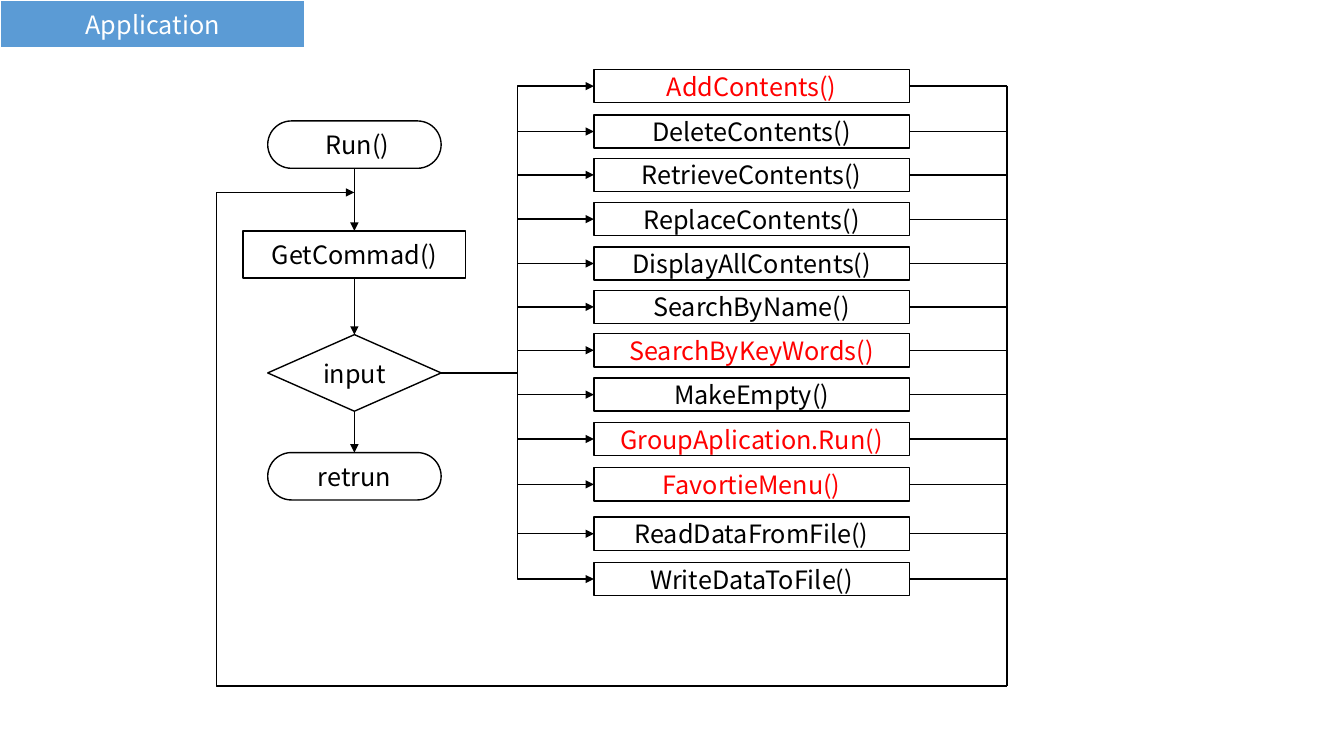
from dataclasses import dataclass

from lxml.etree import SubElement
from pptx import Presentation
from pptx.dml.color import RGBColor
from pptx.enum.shapes import MSO_CONNECTOR, MSO_SHAPE
from pptx.enum.text import MSO_ANCHOR, MSO_AUTO_SIZE, PP_ALIGN
from pptx.oxml.ns import qn
from pptx.util import Inches, Pt


@dataclass(frozen=True)
class Theme:
    """Colours, type and line widths of the slide."""

    accent: RGBColor = RGBColor(0x5B, 0x9B, 0xD5)
    paper: RGBColor = RGBColor(0xFF, 0xFF, 0xFF)
    ink: RGBColor = RGBColor(0, 0, 0)
    marked: RGBColor = RGBColor(0xFF, 0, 0)
    font: str = "Noto Sans CJK KR"
    size: float = 18
    thin: float = 1
    thick: float = 1.5


@dataclass(frozen=True)
class Box:
    """A rectangle in inches."""

    left: float
    top: float
    width: float
    height: float

    @property
    def right(self):
        """Return the right edge."""
        return self.left + self.width

    @property
    def bottom(self):
        """Return the bottom edge."""
        return self.top + self.height

    @property
    def center(self):
        """Return the horizontal middle."""
        return self.left + self.width / 2

    @property
    def middle(self):
        """Return the vertical middle."""
        return self.top + self.height / 2


THEME = Theme()

COMMANDS = [
    ("AddContents()", 0, True),
    ("DeleteContents()", 0.45, False),
    ("RetrieveContents()", 0.88, False),
    ("ReplaceContents()", 1.32, False),
    ("DisplayAllContents()", 1.76, False),
    ("SearchByName()", 2.19, False),
    ("SearchByKeyWords()", 2.62, True),
    ("MakeEmpty()", 3.06, False),
    ("GroupAplication.Run()", 3.5, True),
    ("FavortieMenu()", 3.95, True),
    ("ReadDataFromFile()", 4.44, False),
    ("WriteDataToFile()", 4.89, False),
]


def style_shape(shape, fill, outline, width):
    """Set the fill and outline of a shape."""
    shape.fill.solid()
    shape.fill.fore_color.rgb = fill
    shape.line.color.rgb = outline
    shape.line.width = Pt(width)


def write_label(shape, text, color):
    """Write one centred line into a shape."""
    frame = shape.text_frame
    frame.word_wrap = True
    frame.auto_size = MSO_AUTO_SIZE.NONE
    frame.vertical_anchor = MSO_ANCHOR.MIDDLE
    frame.margin_top = frame.margin_bottom = 0
    para = frame.paragraphs[0]
    para.alignment = PP_ALIGN.CENTER
    para.line_spacing = 1.0
    span = para.add_run()
    span.text = text
    span.font.name = THEME.font
    span.font.size = Pt(THEME.size)
    span.font.color.rgb = color


def add_node(page, kind, box, text, color=THEME.ink):
    """Add one flowchart node."""
    lengths = map(Inches, (box.left, box.top, box.width, box.height))
    node = page.shapes.add_shape(kind, *lengths)
    node.shadow.inherit = False
    if kind == MSO_SHAPE.ROUNDED_RECTANGLE:
        node.adjustments[0] = 0.5
    style_shape(node, THEME.paper, THEME.ink, THEME.thin)
    write_label(node, text, color)


def add_link(page, start, end, kind=MSO_CONNECTOR.STRAIGHT, arrow=False, width=THEME.thin, bend=None):
    """Join two points, with an optional arrowhead and bend position."""
    link = page.shapes.add_connector(kind, *map(Inches, (*start, *end)))
    link.line.color.rgb = THEME.ink
    link.line.width = Pt(width)
    properties = link._element.spPr
    SubElement(properties, qn("a:effectLst"))
    if arrow:
        SubElement(properties.find(qn("a:ln")), qn("a:tailEnd"), type="triangle")
    if bend is not None:
        guides = properties.find(qn("a:prstGeom")).find(qn("a:avLst"))
        SubElement(guides, qn("a:gd"), name="adj1", fmla=f"val {round(bend * 100000)}")


def add_title(page, box):
    """Place the title as a coloured banner."""
    title = page.shapes.title
    title.left, title.top = Inches(box.left), Inches(box.top)
    title.width, title.height = Inches(box.width), Inches(box.height)
    style_shape(title, THEME.accent, THEME.paper, THEME.thick)
    write_label(title, "Application", THEME.paper)


def add_main_flow(page, box):
    """Draw the main column and return the exit point of the decision."""
    steps = [
        (MSO_SHAPE.ROUNDED_RECTANGLE, " Run()", 0, 1.72, 0.47),
        (MSO_SHAPE.RECTANGLE, "GetCommad()", 1.09, 2.21, 0.47),
        (MSO_SHAPE.DIAMOND, "input", 2.12, 1.72, 0.76),
        (MSO_SHAPE.ROUNDED_RECTANGLE, "retrun", 3.29, 1.72, 0.47),
    ]
    places = [
        Box(box.center - width / 2, box.top + drop, width, height)
        for _, _, drop, width, height in steps
    ]
    for (kind, text, *_), place in zip(steps, places):
        add_node(page, kind, place, text)
    for upper, lower in zip(places, places[1:]):
        add_link(page, (box.center, upper.bottom), (box.center, lower.top), arrow=True)
    return places[2].right, places[2].middle


def add_commands(page, box, source, rail):
    """Draw the command rows, linked from the decision and to the rail."""
    for text, drop, marked in COMMANDS:
        row = Box(box.left, box.top + drop, box.width, 0.33)
        color = THEME.marked if marked else THEME.ink
        add_node(page, MSO_SHAPE.RECTANGLE, row, text, color)
        add_link(page, source, (row.left, row.middle), MSO_CONNECTOR.ELBOW, arrow=True)
        add_link(page, (row.right, row.middle), (rail, row.middle))


def add_return_loop(page, box, entry):
    """Lead the rail along the bottom and back up to the entry point."""
    corner = (box.right, box.bottom)
    add_link(page, (box.right, box.top), corner, width=THEME.thick)
    add_link(page, (box.left, box.bottom), corner, width=THEME.thick)
    start = box.left + 0.62
    bend = (box.left - start) / (entry[0] - start)
    add_link(page, (start, box.bottom), entry, MSO_CONNECTOR.ELBOW, arrow=True, bend=bend)


def build_slide(deck):
    """Build the application flowchart slide."""
    page = deck.slides.add_slide(deck.slide_layouts[5])
    flow = Box(2.41, 1.2, 2.21, 3.76)
    commands = Box(5.89, 0.69, 3.13, 5.22)
    loop = Box(2.15, 0.85, 7.84, 5.96)
    add_title(page, Box(0, 0, 3.03, 0.48))
    decision = add_main_flow(page, flow)
    add_commands(page, commands, decision, loop.right)
    add_return_loop(page, loop, (flow.center, 1.91))


deck = Presentation()
deck.slide_width, deck.slide_height = Inches(13.33), Inches(7.5)
build_slide(deck)
deck.save("out.pptx")
